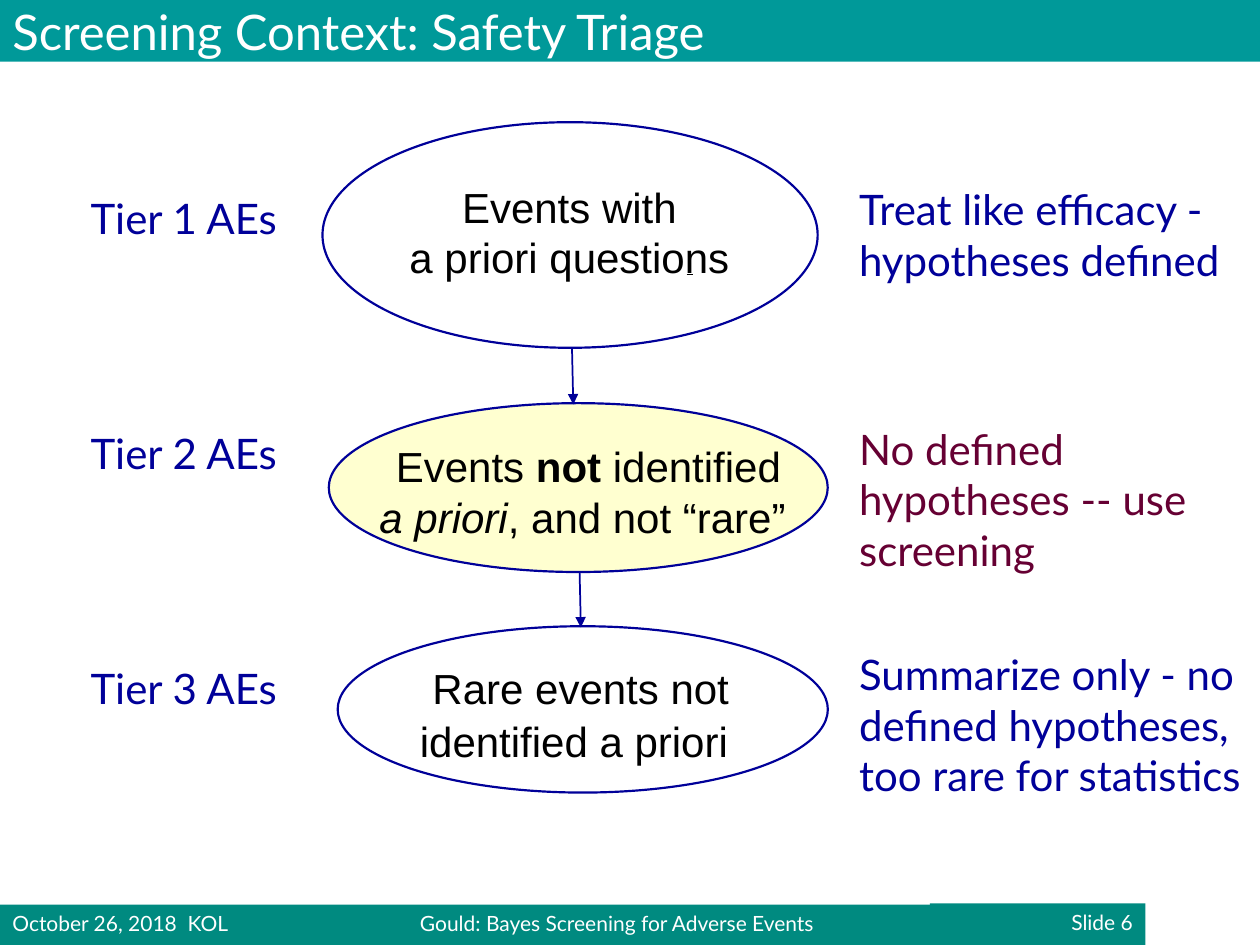
from dataclasses import dataclass
from typing import NamedTuple

from pptx import Presentation
from pptx.dml.color import RGBColor
from pptx.enum.shapes import MSO_CONNECTOR, MSO_SHAPE
from pptx.enum.text import MSO_ANCHOR, PP_ALIGN
from pptx.oxml.ns import qn
from pptx.util import Inches, Pt
from lxml.etree import SubElement


@dataclass(frozen=True)
class Theme:
    bar: str = "009999"
    foot: str = "008A80"
    navy: str = "000099"
    plum: str = "660033"
    glow: str = "FFFF66"
    white: str = "FFFFFF"
    black: str = "000000"
    sans: str = "Lato"
    plain: str = "Arial"
    head: int = 28
    body: int = 24
    small: int = 12


class Box(NamedTuple):
    """Left, top, width and height in grid cells."""
    col: float
    row: float
    wide: float
    high: float


class Run(NamedTuple):
    text: str
    bold: bool = False
    slant: bool = False


class Note(NamedTuple):
    """Lines of text centred on one point of the grid."""
    col: float
    row: float
    lines: list


class Tier(NamedTuple):
    name: str
    oval: Box
    fill: str | None
    notes: list[Note]
    plan: str
    mid: float
    tint: str


T = Theme()
COLS, ROWS = 100, 75
deck = Presentation()
deck.slide_width, deck.slide_height = Inches(10), Inches(7.5)
slide = deck.slides.add_slide(deck.slide_layouts[6])
shapes = slide.shapes


def place(box: Box) -> list[int]:
    """Turn grid cells into slide lengths."""
    cell_w, cell_h = deck.slide_width / COLS, deck.slide_height / ROWS
    return [round(n * c) for n, c in zip(box, (cell_w, cell_h) * 2)]


def write(frame, lines, *, font=T.sans, size=T.body, color=T.navy,
          align=PP_ALIGN.LEFT, anchor=MSO_ANCHOR.MIDDLE, wrap=True, pad=True) -> None:
    """Fill a frame; each line is a string or a list of runs."""
    frame.word_wrap, frame.vertical_anchor = wrap, anchor
    if not pad:
        frame.margin_left = frame.margin_right = 0
        frame.margin_top = frame.margin_bottom = 0
    for i, line in enumerate(lines):
        para = frame.paragraphs[0] if i == 0 else frame.add_paragraph()
        para.alignment = align
        for part in [Run(line)] if isinstance(line, str) else line:
            run = para.add_run()
            run.text = part.text
            run.font.name, run.font.size = font, Pt(size)
            run.font.bold, run.font.italic = part.bold, part.slant
            run.font.color.rgb = RGBColor.from_string(color)


def label(box: Box, lines: list, **form) -> None:
    write(shapes.add_textbox(*place(box)).text_frame, lines, **form)


def form(kind: MSO_SHAPE, box: Box, fill: str | None, line: str | None = None,
         alpha: int = 100):
    shape = shapes.add_shape(kind, *place(box))
    shape.shadow.inherit = False
    if fill:
        shape.fill.solid()
        shape.fill.fore_color.rgb = RGBColor.from_string(fill)
        if alpha < 100:
            tone = shape.fill._xPr.find(qn("a:solidFill"))[0]
            SubElement(tone, qn("a:alpha"), val=str(alpha * 1000))
    else:
        shape.fill.background()
    if line:
        shape.line.color.rgb = RGBColor.from_string(line)
        shape.line.width = Pt(1.25)
    else:
        shape.line.fill.background()
    return shape


def stroke(start: tuple, end: tuple, color: str, width: float, arrow: bool = True) -> None:
    link = shapes.add_connector(MSO_CONNECTOR.STRAIGHT, *place(Box(*start, *end)))
    link.line.color.rgb = RGBColor.from_string(color)
    link.line.width = Pt(width)
    if arrow:
        SubElement(link.line._get_or_add_ln(), qn("a:tailEnd"), type="triangle")
    SubElement(link._element.spPr, qn("a:effectLst"))


def bar(box: Box, fill: str, text: str, **style) -> None:
    write(form(MSO_SHAPE.RECTANGLE, box, fill).text_frame, [text], color=T.white, **style)


TIERS = [
    Tier("Tier 1 AEs", Box(25.6, 9.7, 39.3, 17.9), None,
         [Note(45.65, 18.4, ["Events with ", "a priori questions "])],
         "Treat like efficacy - hypotheses defined", 18.6, T.navy),
    Tier("Tier 2 AEs", Box(26.1, 32, 39.6, 13.4), T.glow,
         [Note(46.7, 39, [[Run("Events "), Run("not", bold=True), Run(" identified")],
                          [Run("a priori", slant=True), Run(", and not “rare” ")]])],
         "No defined hypotheses -- use screening", 39.6, T.plum),
    Tier("Tier 3 AEs", Box(26.8, 49.7, 38.9, 13.2), None,
         [Note(46.55, 54.6, ["Rare events not "]),
          Note(45.55, 58.8, ["identified a priori"])],
         "Summarize only - no defined hypotheses, too rare for statistics", 57.5, T.navy),
]
FIRST, STEP = 17.3, 18.65  # centre of the first tier name, and the gap to the next

# Title
bar(Box(0, 0, COLS, 4.9), T.bar, "Screening Context: Safety Triage", size=T.head)

# Tiers: name, oval with its text, and plan
for i, tier in enumerate(TIERS):
    label(Box(6.2, FIRST + i * STEP - 2.5, 17.5, 5), [tier.name])
    form(MSO_SHAPE.OVAL, tier.oval, tier.fill, T.navy, alpha=30)
    for note in tier.notes:
        high = 4 * len(note.lines)
        label(Box(note.col - 16.6, note.row - high / 2, 33.2, high), note.lines,
              font=T.plain, color=T.black, align=PP_ALIGN.CENTER, wrap=False, pad=False)
    label(Box(67.2, tier.mid - 6.5, 32.8, 13), [tier.plan], color=tier.tint)

# Arrows between ovals, and the small dash under the first one's text
for col, row in ((45.4, 27.7), (46, 45.4)):
    stroke((col, row), (col + 0.1, row + 4.4), T.navy, 1)
stroke((54.5, 21.8), (55, 21.8), T.black, 0.75, arrow=False)

# Footer
foot = dict(size=T.small, anchor=MSO_ANCHOR.TOP)
bar(Box(0, 71.8, 74, 3.2), T.foot, "October 26, 2018  KOL", **foot)
label(Box(32.35, 71.8, 40, 3.2), ["Gould: Bayes Screening for Adverse Events"],
      color=T.white, **foot)
bar(Box(73.8, 71.7, 17.1, 3.3), T.foot, "Slide 6", align=PP_ALIGN.RIGHT, **foot)

deck.save("out.pptx")
